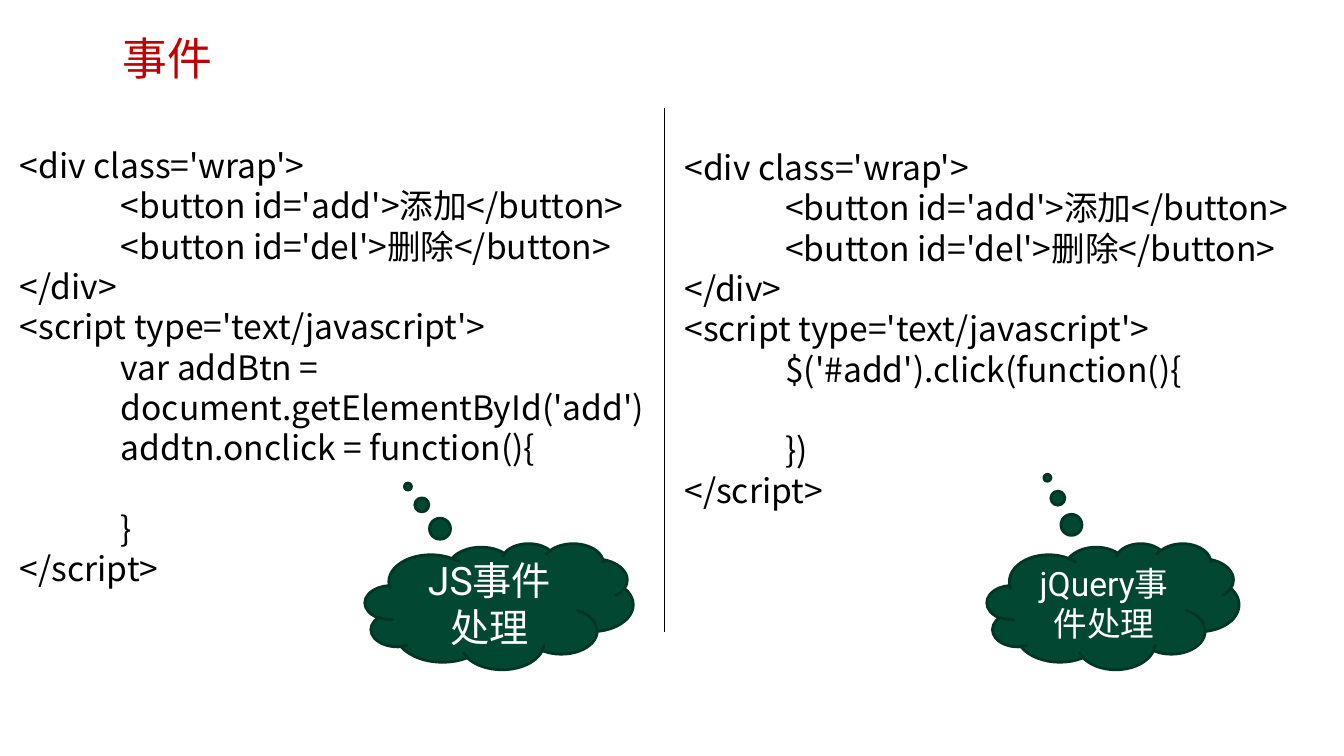
from lxml import etree
from pptx import Presentation
from pptx.dml.color import RGBColor
from pptx.enum.shapes import MSO_CONNECTOR, MSO_SHAPE
from pptx.enum.text import MSO_ANCHOR, MSO_AUTO_SIZE, PP_ALIGN
from pptx.oxml.ns import qn
from pptx.util import Inches, Pt

RED = RGBColor(0xC0, 0x00, 0x00)
GREEN = RGBColor(0x02, 0x47, 0x31)
DARK_GREEN = RGBColor(0x01, 0x35, 0x24)
BLACK = RGBColor(0x00, 0x00, 0x00)
WHITE = RGBColor(0xFF, 0xFF, 0xFF)

CLOUD = MSO_SHAPE.CLOUD_CALLOUT
STRAIGHT = MSO_CONNECTOR.STRAIGHT
TOP, MIDDLE = MSO_ANCHOR.TOP, MSO_ANCHOR.MIDDLE
LEFT, CENTER = PP_ALIGN.LEFT, PP_ALIGN.CENTER
NO_FIT, GROW = MSO_AUTO_SIZE.NONE, MSO_AUTO_SIZE.SHAPE_TO_FIT_TEXT

SANS, ROBOTO = "Noto Sans CJK SC", "Roboto"
CODE_SIZE = 24
BLANK_LINE = Pt(28.8)
TITLE_ONLY = 5

SHARED_MARKUP = """<div class='wrap'>
\t<button id='add'>添加</button>
\t<button id='del'>删除</button>
</div>
<script type='text/javascript'>
"""
JS_CODE = SHARED_MARKUP + """\tvar addBtn =
\tdocument.getElementById('add')
\taddtn.onclick = function(){

\t}
</script>"""
JQUERY_CODE = SHARED_MARKUP + """\t$('#add').click(function(){

\t})
</script>"""


def set_values(target, values):
    for name, value in values.items():
        setattr(target, name, value)


class CodeSlide:
    """Draws on one slide; all lengths are percentages of its size."""

    def __init__(self, deck):
        self.deck = deck
        self.page = deck.slides.add_slide(deck.slide_layouts[TITLE_ONLY])

    def place(self, left, top, width, height):
        across, down = self.deck.slide_width, self.deck.slide_height
        return [int(share * full / 100) for share, full in
                ((left, across), (top, down), (width, across), (height, down))]

    def add_span(self, para, text, size, color, font):
        span = para.add_run()
        span.text = text
        set_values(span.font, {"size": Pt(size), "name": font})
        span.font.color.rgb = color
        east_asian = etree.SubElement(span.font._element, qn("a:ea"))
        east_asian.set("typeface", SANS)

    def title(self, text, area):
        box = self.page.shapes.title
        names = ("left", "top", "width", "height")
        set_values(box, dict(zip(names, self.place(*area))))
        set_values(box.text_frame, {"word_wrap": False, "auto_size": GROW,
                                    "vertical_anchor": TOP})
        para = box.text_frame.paragraphs[0]
        para.alignment = LEFT
        self.add_span(para, text, 32, RED, SANS)

    def cloud(self, text, size, area, tail):
        box = self.page.shapes.add_shape(CLOUD, *self.place(*area))
        box.shadow.inherit = False
        box.fill.solid()
        box.fill.fore_color.rgb = GREEN
        box.line.color.rgb = DARK_GREEN
        box.line.width = Pt(2)
        for index, value in enumerate(tail):
            box.adjustments[index] = value
        set_values(box.text_frame, {"word_wrap": True,
                                    "vertical_anchor": MIDDLE})
        para = box.text_frame.paragraphs[0]
        para.alignment = CENTER
        self.add_span(para, text, size, WHITE, ROBOTO)

    def code(self, source, area):
        """A tab becomes an indent, an empty line becomes space before."""
        box = self.page.shapes.add_textbox(*self.place(*area))
        frame = box.text_frame
        set_values(frame, {"word_wrap": True, "auto_size": NO_FIT})
        para, gap = frame.paragraphs[0], Pt(0)
        for number, line in enumerate(source.splitlines()):
            if not line:
                gap = BLANK_LINE
                continue
            if number:
                para = frame.add_paragraph()
            para.space_before, gap = gap, Pt(0)
            if line.startswith("\t"):
                para._p.get_or_add_pPr().set("marL", str(Inches(1)))
            self.add_span(para, line.strip(), CODE_SIZE, BLACK, SANS)

    def divider(self, left, top, height):
        x, y, _, length = self.place(left, top, 0, height)
        rule = self.page.shapes.add_connector(STRAIGHT, x, y, x, y + length)
        rule.line.color.rgb = BLACK
        rule.line.width = Pt(0.75)
        etree.SubElement(rule._element.spPr, qn("a:effectLst"))


def main():
    deck = Presentation()
    set_values(deck, {"slide_width": Inches(13.33),
                      "slide_height": Inches(7.5)})
    page = CodeSlide(deck)
    page.title("事件", (8.4, 3.33, 8.25, 8.53))
    page.cloud("jQuery事件处理", 24, (73.44, 71.87, 18.75, 16.67), (-0.26, -1.02))
    page.cloud("JS事件处理", 28, (27.16, 71.87, 19.95, 16.67), (-0.34, -0.95))
    page.code(JS_CODE, (0.75, 18.53, 49.66, 60.53))
    page.code(JQUERY_CODE, (50.19, 18.8, 49.66, 49.73))
    page.divider(49.44, 14.27, 69.33)
    deck.save("out.pptx")


if __name__ == "__main__":
    main()
